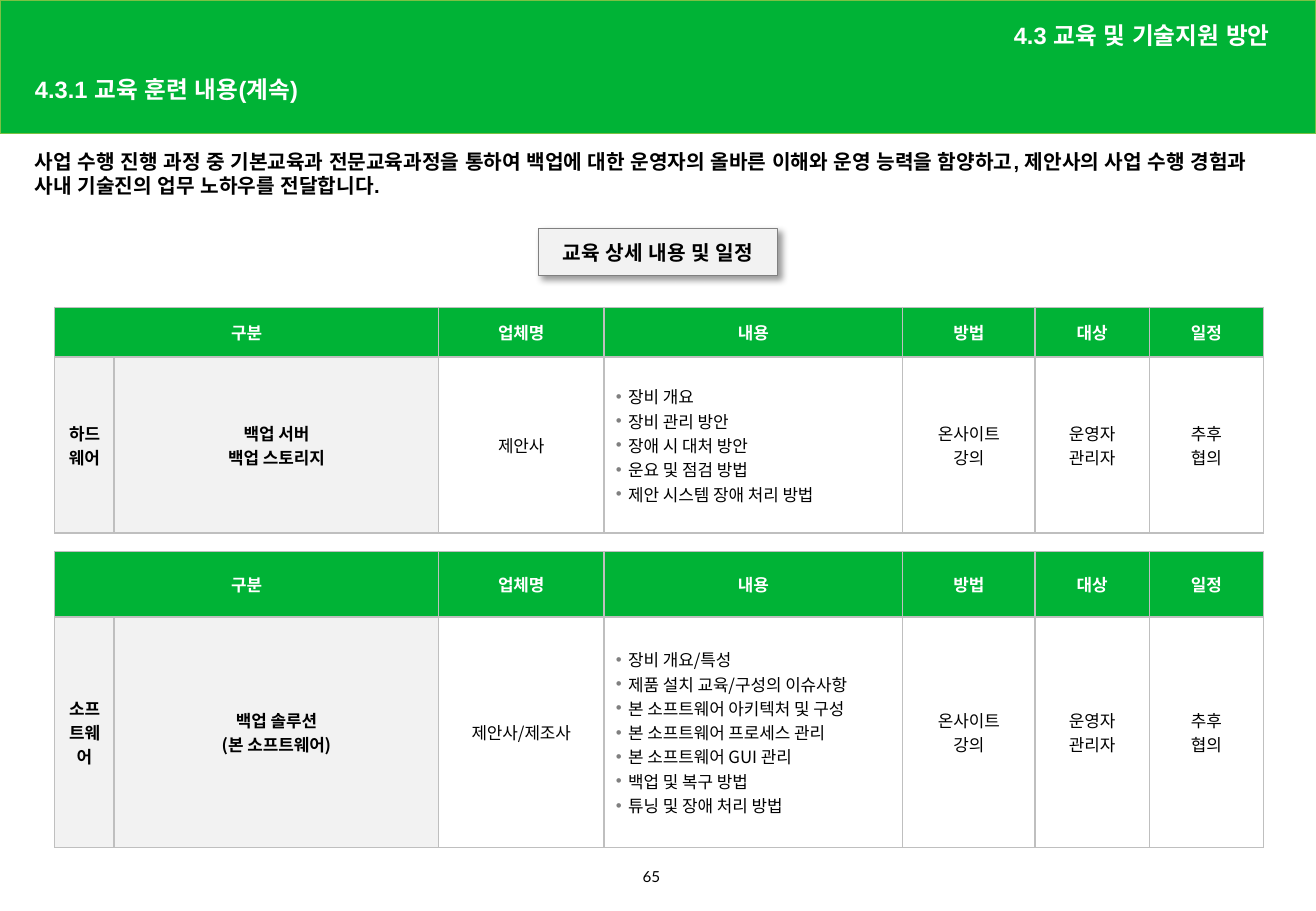
from lxml import etree
from pptx import Presentation
from pptx.dml.color import RGBColor
from pptx.enum.shapes import MSO_SHAPE
from pptx.enum.text import MSO_ANCHOR, PP_ALIGN
from pptx.oxml.ns import qn
from pptx.util import Inches, Pt

LEFT, CENTER, RIGHT = PP_ALIGN.LEFT, PP_ALIGN.CENTER, PP_ALIGN.RIGHT
TOP, MIDDLE = MSO_ANCHOR.TOP, MSO_ANCHOR.MIDDLE
RECTANGLE = MSO_SHAPE.RECTANGLE

GREEN, LIME, PALE = "00B336", "7BC144", "F2F2F2"
GRAY, BORDER, BLACK, WHITE = "808080", "BFBFBF", "000000", "FFFFFF"
HEADING_FONT, TABLE_FONT, NUMBER_FONT = "Arial", "Noto Sans CJK KR", "Lato"

TABLE_LEFT = 4.16
COLUMNS = [4.52, 24.65, 12.56, 22.71, 10.06, 8.68, 8.68]
HEADERS = ["구분", "", "업체명", "내용", "방법", "대상", "일정"]
SHARED_CELLS = ["온사이트\n강의", "운영자\n관리자", "추후\n협의"]
LABEL_COLUMNS, CONTENT_COLUMN = 2, 3

HARDWARE = [
    "하드웨어",
    "백업 서버\n백업 스토리지",
    "제안사",
    "장비 개요\n장비 관리 방안\n장애 시 대처 방안\n운요 및 점검 방법\n"
    "제안 시스템 장애 처리 방법",
]
SOFTWARE = [
    "소프트웨어",
    "백업 솔루션\n(본 소프트웨어)",
    "제안사/제조사",
    "장비 개요/특성\n제품 설치 교육/구성의 이슈사항\n본 소프트웨어 아키텍처 및 구성\n"
    "본 소프트웨어 프로세스 관리\n본 소프트웨어 GUI 관리\n백업 및 복구 방법\n"
    "튜닝 및 장애 처리 방법",
]
INTRO = (
    "사업 수행 진행 과정 중 기본교육과 전문교육과정을 통하여 백업에 대한 운영자의 올바른 이해와 "
    "운영 능력을 함양하고, 제안사의 사업 수행 경험과 사내 기술진의 업무 노하우를 전달합니다."
)


def color(value):
    return RGBColor.from_string(value)


def add_element(parent, tag, **attributes):
    element = etree.SubElement(parent, qn(tag))
    for name, value in attributes.items():
        element.set(name, str(value))
    return element


class SlideBuilder:
    def __init__(self, presentation):
        self.width = presentation.slide_width
        self.height = presentation.slide_height
        self.slide = presentation.slides.add_slide(presentation.slide_layouts[6])

    def across(self, percent):
        return round(self.width * percent / 100)

    def down(self, percent):
        return round(self.height * percent / 100)

    def area(self, left, top, width, height):
        return self.across(left), self.down(top), self.across(width), self.down(height)

    def fill_text(self, text_frame, text, size, ink=BLACK, bold=True, align=LEFT,
                  font=HEADING_FONT, spacing=None, bullets=False):
        text_frame.word_wrap = True
        text_frame.text = text
        for paragraph in text_frame.paragraphs:
            if bullets:
                self.bullet(paragraph)
            paragraph.alignment = align
            paragraph.line_spacing = spacing
            for run in paragraph.runs:
                run.font.size = Pt(size)
                run.font.bold = bold
                run.font.name = font
                run.font.color.rgb = color(ink)
                add_element(run.font._element, "a:ea", typeface=font)

    def bullet(self, paragraph):
        properties = paragraph._p.get_or_add_pPr()
        properties.set("marL", str(Inches(0.1)))
        properties.set("indent", str(-Inches(0.1)))
        add_element(add_element(properties, "a:buClr"), "a:srgbClr", val=GRAY)
        add_element(properties, "a:buFont", typeface="Arial")
        add_element(properties, "a:buChar", char="•")

    def text(self, area, text, size, anchor=TOP, **style):
        text_frame = self.slide.shapes.add_textbox(*self.area(*area)).text_frame
        text_frame.vertical_anchor = anchor
        self.fill_text(text_frame, text, size, **style)

    def rectangle(self, area, fill, line, line_width):
        shape = self.slide.shapes.add_shape(RECTANGLE, *self.area(*area))
        shape.shadow.inherit = False
        shape.fill.solid()
        shape.fill.fore_color.rgb = color(fill)
        shape.line.color.rgb = color(line)
        shape.line.width = Pt(line_width)
        return shape

    def badge(self, area, text):
        shape = self.rectangle(area, PALE, GRAY, 0.75)
        effects = shape._element.spPr.find(qn("a:effectLst"))
        shadow = add_element(effects, "a:outerShdw", blurRad=Pt(4), dist=Pt(3),
                             dir=45 * 60000, algn="tl", rotWithShape=0)
        shade = add_element(shadow, "a:srgbClr", val=BLACK)
        add_element(shade, "a:alpha", val=40000)
        shape.text_frame.vertical_anchor = MIDDLE
        self.fill_text(shape.text_frame, text, 12, align=CENTER)
        shape.text_frame.paragraphs[0].space_after = Pt(2)

    def cell(self, cell, text, fill, **style):
        properties = cell._tc.get_or_add_tcPr()
        for side in ("a:lnL", "a:lnR", "a:lnT", "a:lnB"):
            line = add_element(properties, side, w=Pt(1))
            add_element(add_element(line, "a:solidFill"), "a:srgbClr", val=BORDER)
        if fill:
            cell.fill.solid()
            cell.fill.fore_color.rgb = color(fill)
        else:
            cell.fill.background()
        cell.vertical_anchor = MIDDLE
        self.fill_text(cell.text_frame, text, 10, font=TABLE_FONT, **style)

    def table(self, top, row_heights, body):
        area = self.area(TABLE_LEFT, top, sum(COLUMNS), sum(row_heights))
        table = self.slide.shapes.add_table(2, len(COLUMNS), *area).table
        table.first_row = table.horz_banding = False
        for row, height in zip(table.rows, row_heights):
            row.height = self.down(height)
        for index, width in enumerate(COLUMNS):
            table.columns[index].width = self.across(width)
            self.cell(table.cell(0, index), HEADERS[index], GREEN, ink=WHITE, align=CENTER)
            is_label = index < LABEL_COLUMNS
            is_content = index == CONTENT_COLUMN
            self.cell(table.cell(1, index), body[index], PALE if is_label else None,
                      bold=is_label, align=LEFT if is_content else CENTER,
                      bullets=is_content)
        table.cell(0, 0).merge(table.cell(0, 1))


def main():
    presentation = Presentation()
    presentation.slide_width = Inches(10.83)
    presentation.slide_height = Inches(7.5)
    builder = SlideBuilder(presentation)

    builder.rectangle((0, 0, 100, 14.67), GREEN, LIME, 1)
    builder.text((1.75, 7.87, 59.1, 4.13), "4.3.1 교육 훈련 내용(계속)", 14,
                 MIDDLE, ink=WHITE, spacing=0.9)
    builder.text((1.75, 15.73, 95.57, 15.73), INTRO, 12)
    builder.text((53.09, 1.47, 44.32, 5.2), "4.3 교육 및 기술지원 방안", 14,
                 MIDDLE, ink=WHITE, align=RIGHT, spacing=0.9)
    builder.badge((40.9, 25.07, 18.19, 5.2), "교육 상세 내용 및 일정")
    builder.table(33.73, [5.47, 19.33], HARDWARE + SHARED_CELLS)
    builder.table(60.53, [7.2, 25.33], SOFTWARE + SHARED_CELLS)
    builder.text((47.92, 94.53, 4.16, 3.73), "65", 9, bold=False, font=NUMBER_FONT)

    presentation.save("out.pptx")


if __name__ == "__main__":
    main()
